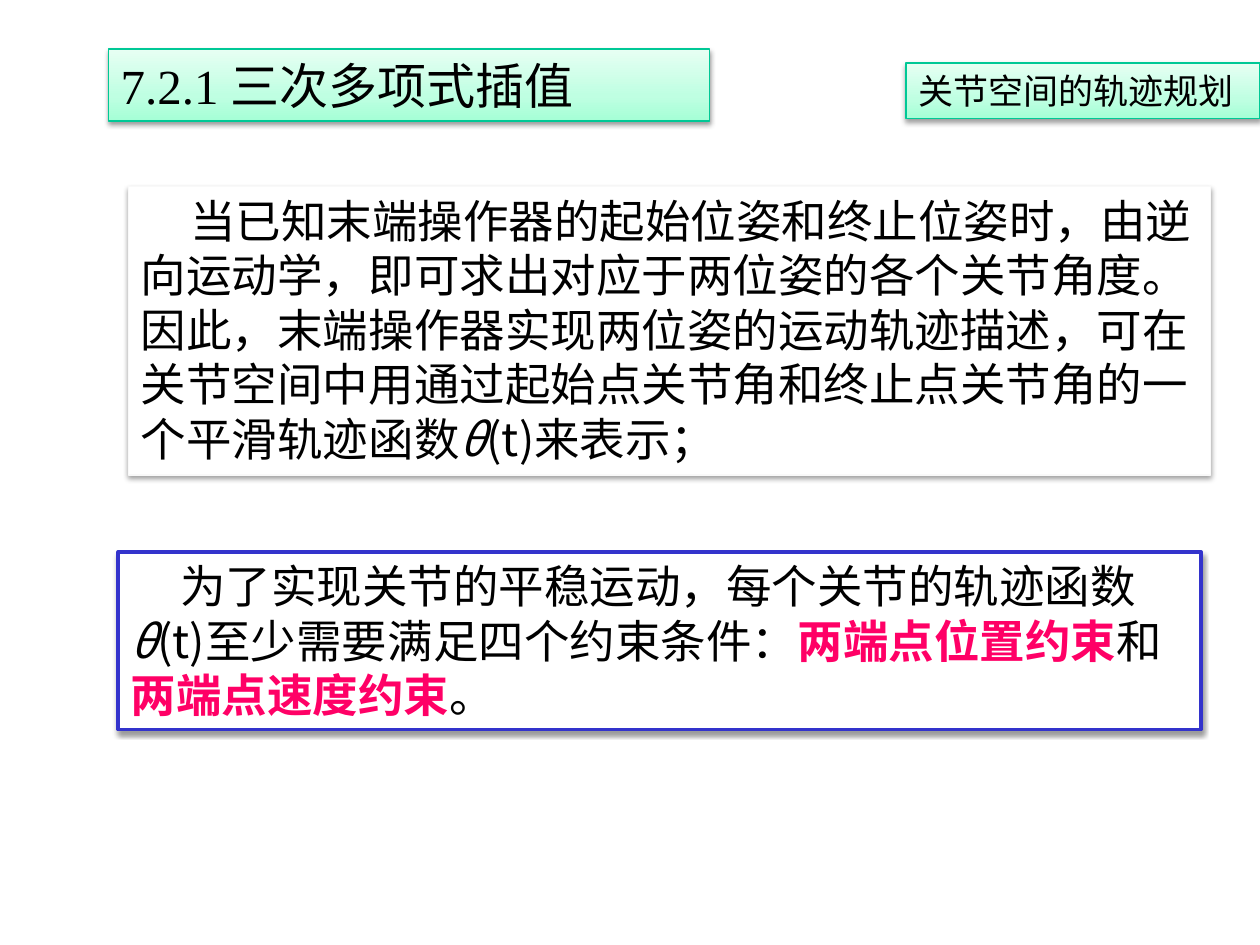
from lxml.etree import SubElement
from pptx import Presentation
from pptx.dml.color import RGBColor
from pptx.enum.shapes import MSO_SHAPE
from pptx.enum.text import MSO_ANCHOR, MSO_AUTO_SIZE, PP_ALIGN
from pptx.oxml.ns import qn
from pptx.util import Inches, Pt

CJK = "Noto Sans CJK SC"
BLACK, WHITE, PINK = "000000", "FFFFFF", "FF0066"
GREEN, BLUE, PALE_GREY = "00C896", "3333CC", "F9F9F9"
MINT_STOPS = [(0, "A5FFD6"), (35, "BFFFE2"), (100, "E7FFF3")]


def color(hex_string):
    return RGBColor.from_string(hex_string)


def add_mint_gradient(shape):
    shape.fill.gradient()
    shape.fill.gradient_angle = 90
    stop_list = shape._element.spPr.find(qn("a:gradFill")).find(qn("a:gsLst"))
    for stop in list(stop_list):
        stop_list.remove(stop)
    for position, hex_string in MINT_STOPS:
        stop = SubElement(stop_list, qn("a:gs"), pos=str(position * 1000))
        SubElement(stop, qn("a:srgbClr"), val=hex_string)


def add_soft_shadow(shape):
    shape.shadow.inherit = False
    effects = shape._element.spPr.find(qn("a:effectLst"))
    shadow = SubElement(effects, qn("a:outerShdw"), blurRad=str(Pt(3.1)),
                        dist=str(Pt(1.6)), dir="5400000", rotWithShape="0")
    shade = SubElement(shadow, qn("a:srgbClr"), val=BLACK)
    SubElement(shade, qn("a:alpha"), val="38000")


def add_run(paragraph, size, text, font=CJK, hex_string=BLACK, bold=False, italic=False):
    run = paragraph.add_run()
    run.text = text
    run.font.size = Pt(size)
    run.font.name = font
    run.font.bold = bold
    run.font.italic = italic
    run.font.color.rgb = color(hex_string)
    # Chinese characters take the East Asian font
    SubElement(run.font._element, qn("a:ea"), typeface=CJK)


def add_box(slide, place, line, size, runs, line_width=0.75, fill=None, indent=0):
    """Shadowed box; without a fill colour it gets the mint gradient."""
    shape = slide.shapes.add_shape(MSO_SHAPE.RECTANGLE, *map(Inches, place))
    if fill:
        shape.fill.solid()
        shape.fill.fore_color.rgb = color(fill)
    else:
        add_mint_gradient(shape)
    shape.line.color.rgb = color(line)
    shape.line.width = Pt(line_width)
    add_soft_shadow(shape)

    frame = shape.text_frame
    frame.word_wrap = True
    frame.auto_size = MSO_AUTO_SIZE.SHAPE_TO_FIT_TEXT
    frame.vertical_anchor = MSO_ANCHOR.TOP
    paragraph = frame.paragraphs[0]
    paragraph.alignment = PP_ALIGN.LEFT
    if indent:
        properties = paragraph._p.get_or_add_pPr()
        properties.set("marL", "0")
        properties.set("indent", str(Inches(indent)))
    for text, style in runs:
        add_run(paragraph, size, text, **style)


def main():
    presentation = Presentation()
    presentation.slide_width = Inches(10)
    presentation.slide_height = Inches(7.5)
    slide = presentation.slides.add_slide(presentation.slide_layouts[6])

    arial = {"font": "Arial"}
    emphasis = {"font": "Arial", "hex_string": PINK, "bold": True}
    theta = ("θ", {"italic": True})

    # Chapter tag
    add_box(slide, (7.19, 0.5, 2.81, 0.44), GREEN, 20, [("关节空间的轨迹规划", {})])

    # Trajectory description
    add_box(slide, (1.02, 1.48, 8.59, 2.29), PALE_GREY, 26, [
        ("当已知末端操作器的起始位姿和终止位姿时，由逆向运动学，"
         "即可求出对应于两位姿的各个关节角度。因此，末端操作器实现两位姿的运动轨迹描述，"
         "可在关节空间中用通过起始点关节角和终止点关节角的一个平滑轨迹函数", {}),
        theta,
        ("(t)来表示；", {}),
    ], fill=WHITE, indent=0.39)

    # Constraints
    add_box(slide, (0.94, 4.38, 8.59, 1.41), BLUE, 26, [
        ("为了实现关节的平稳运动，每个关节的轨迹函数", arial),
        theta,
        ("(t)", {}),
        ("至少需要满足四个约束条件：", arial),
        ("两端点位置约束", emphasis),
        ("和", arial),
        ("两端点速度约束", emphasis),
        ("。", arial),
    ], line_width=2.25, fill=WHITE, indent=0.39)

    # Section title
    add_box(slide, (0.86, 0.39, 4.77, 0.57), GREEN, 28, [
        ("7.2.1 ", {"font": "Times New Roman"}),
        ("三次多项式插值", {}),
    ])

    presentation.save("out.pptx")


if __name__ == "__main__":
    main()
